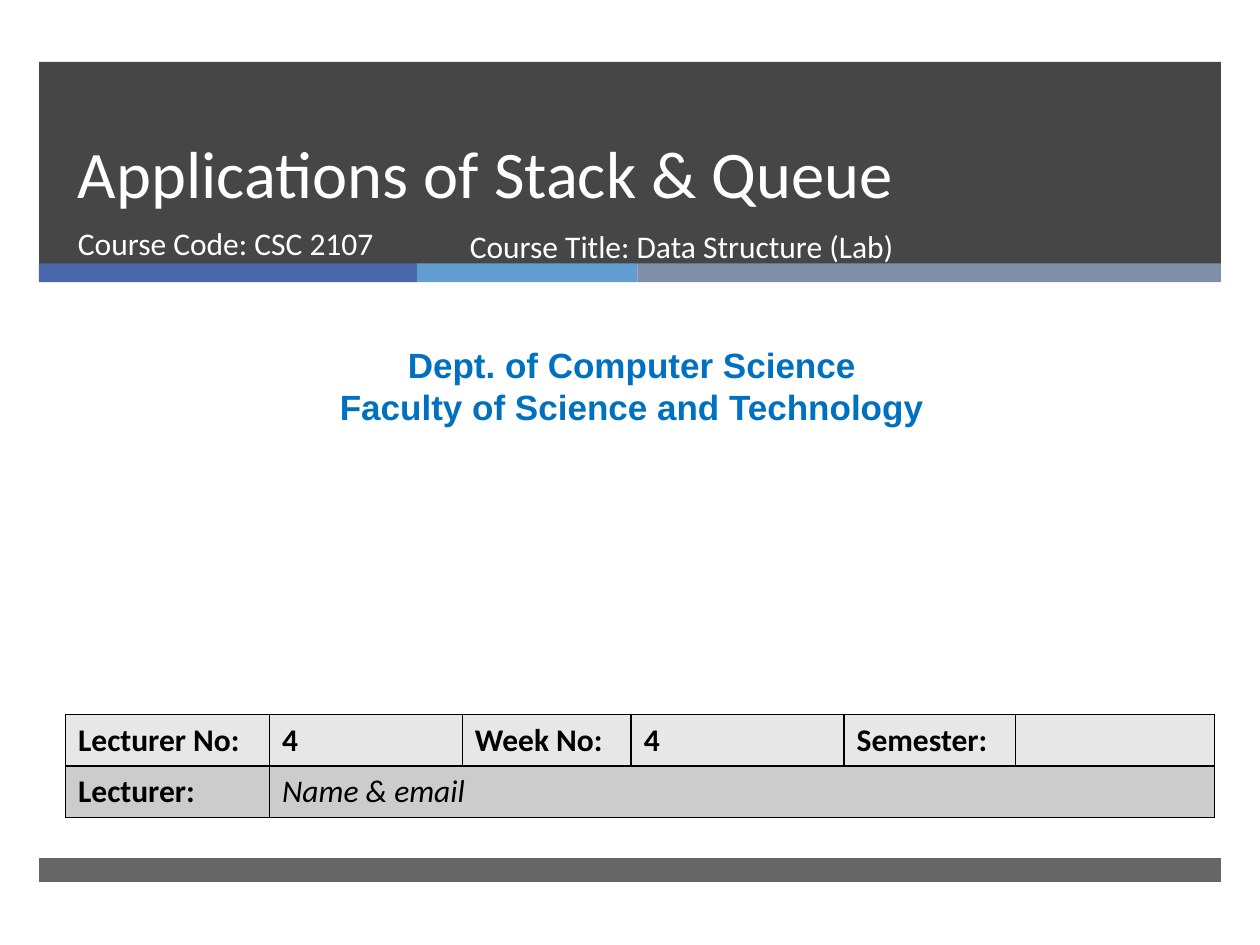
from lxml import etree
from pptx import Presentation
from pptx.dml.color import RGBColor
from pptx.enum.shapes import MSO_SHAPE
from pptx.enum.text import MSO_ANCHOR, PP_ALIGN
from pptx.oxml.ns import qn
from pptx.util import Inches, Pt

RECT = MSO_SHAPE.RECTANGLE
TOP, MIDDLE, BOTTOM = MSO_ANCHOR.TOP, MSO_ANCHOR.MIDDLE, MSO_ANCHOR.BOTTOM
LEFT, CENTER = PP_ALIGN.LEFT, PP_ALIGN.CENTER

DARK, WHITE, BLACK, BLUE = "262626", "FFFFFF", "000000", "0070C0"
EDGE, WIDE = 0.31, 9.38  # left edge and width of the bands
STRIPES = [(3, "4A66AC"), (1.75, "629DD1"), (4.63, "7F8FA9")]
COLS = [1.62, 1.53, 1.34, 1.69, 1.36, 1.58]
ROW = 0.41
ROWS = [
    ("E7E7E7", ["Lecturer No:", "4", "Week No:", "4", "Semester:", ""]),
    ("CCCCCC", ["Lecturer:", "Name & email"]),
]


def paint(fill, color, alpha=100):
    fill.solid()
    fill.fore_color.rgb = RGBColor.from_string(color)
    if alpha < 100:
        node = fill._xPr.find(qn("a:solidFill"))[0]
        etree.SubElement(node, qn("a:alpha"), val=str(alpha * 1000))


def add_bar(slide, x, y, w, h, color, alpha=100):
    bar = slide.shapes.add_shape(RECT, Inches(x), Inches(y), Inches(w), Inches(h))
    bar.shadow.inherit = False
    bar.line.fill.background()
    paint(bar.fill, color, alpha)


def add_run(para, text, size, color, font="Calibri", bold=False, italic=False):
    run = para.add_run()
    run.text = text
    run.font.name = font
    run.font.size = Pt(size)
    run.font.bold = bold
    run.font.italic = italic
    paint(run.font.fill, color)


def add_text(slide, box, lines, size, color, align=LEFT, anchor=TOP, gap=None, **style):
    frame = slide.shapes.add_textbox(*map(Inches, box)).text_frame
    frame.word_wrap = True
    frame.vertical_anchor = anchor
    for i, line in enumerate(lines):
        para = frame.add_paragraph() if i else frame.paragraphs[0]
        para.alignment = align
        if gap:
            para.line_spacing = Pt(gap)
        add_run(para, line, size, color, **style)


def add_edges(cell):
    props = cell._tc.get_or_add_tcPr()
    for i, side in enumerate(("lnL", "lnR", "lnT", "lnB")):
        line = etree.Element(qn("a:" + side), w=str(Pt(1)))
        fill = etree.SubElement(line, qn("a:solidFill"))
        etree.SubElement(fill, qn("a:srgbClr"), val=BLACK)
        props.insert(i, line)  # edges come before the fill


def add_grid(slide, x, y):
    size = Inches(sum(COLS)), Inches(ROW * len(ROWS))
    table = slide.shapes.add_table(len(ROWS), len(COLS), Inches(x), Inches(y), *size).table
    for col, width in zip(table.columns, COLS):
        col.width = Inches(width)
    for r, (color, texts) in enumerate(ROWS):
        table.rows[r].height = Inches(ROW)
        for c in range(len(COLS)):
            cell = table.cell(r, c)
            cell.vertical_anchor = MIDDLE
            paint(cell.fill, color)
            add_edges(cell)
            if c < len(texts) and texts[c]:
                name = r == 1 and c == 1
                add_run(cell.text_frame.paragraphs[0], texts[c], 18, BLACK,
                        bold=not name, italic=name)
    table.cell(1, 1).merge(table.cell(1, len(COLS) - 1))


def main():
    deck = Presentation()
    deck.slide_width, deck.slide_height = Inches(10), Inches(7.5)
    slide = deck.slides.add_slide(deck.slide_layouts[6])

    # Header band, stripes and footer band
    add_bar(slide, EDGE, 0.49, WIDE, 1.61, DARK, 85)
    x = EDGE
    for width, color in STRIPES:
        add_bar(slide, x, 2.09, width, 0.15, color)
        x += width
    add_bar(slide, EDGE, 6.81, WIDE, 0.19, DARK, 70)

    # Title and course
    add_text(slide, (0.52, 0.54, 8.54, 1.19), ["Applications of Stack & Queue"],
             38, WHITE, anchor=BOTTOM, gap=46)
    add_text(slide, (0.52, 1.73, 3.05, 0.53), ["Course Code: CSC 2107"], 18, WHITE)
    add_text(slide, (3.63, 1.75, 4.55, 0.53), ["Course Title: Data Structure (Lab)"], 18, WHITE)

    # Department
    add_text(slide, (0.08, 2.68, 9.87, 0.77),
             ["Dept. of Computer Science", "Faculty of Science and Technology"],
             20, BLUE, align=CENTER, font="Arial", bold=True)

    # Lecture details
    add_grid(slide, 0.52, 5.67)
    deck.save("out.pptx")


if __name__ == "__main__":
    main()
